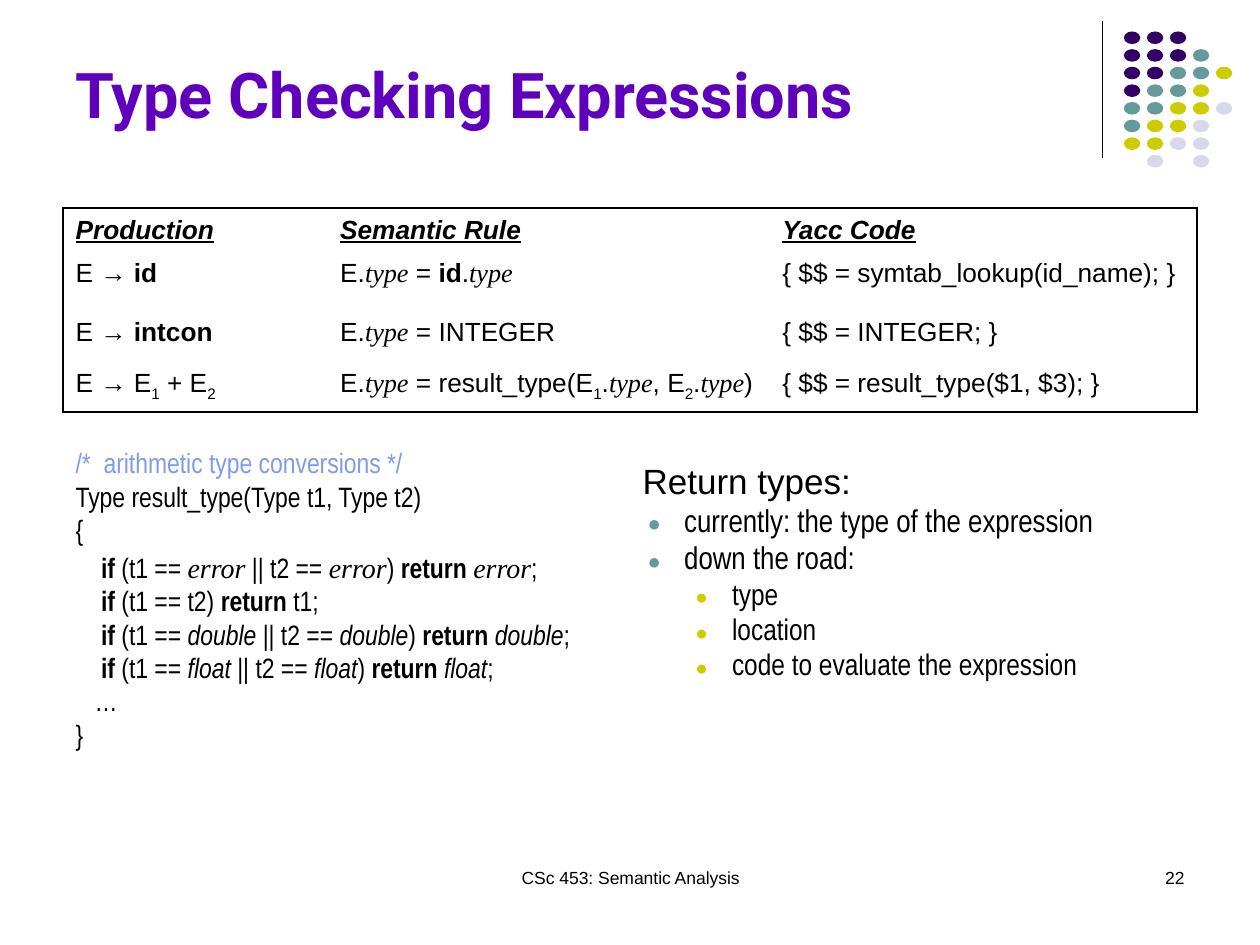
from collections import namedtuple
from dataclasses import dataclass

from lxml import etree
from pptx import Presentation
from pptx.dml.color import RGBColor
from pptx.enum.shapes import MSO_CONNECTOR, MSO_SHAPE
from pptx.enum.text import MSO_ANCHOR, PP_ALIGN
from pptx.oxml.ns import qn
from pptx.util import Inches, Pt

LEFT, CENTER, RIGHT = PP_ALIGN.LEFT, PP_ALIGN.CENTER, PP_ALIGN.RIGHT
TOP, MIDDLE, BOTTOM = MSO_ANCHOR.TOP, MSO_ANCHOR.MIDDLE, MSO_ANCHOR.BOTTOM
STRAIGHT, OVAL = MSO_CONNECTOR.STRAIGHT, MSO_SHAPE.OVAL

Box = namedtuple("Box", "left top width height")


@dataclass(frozen=True)
class Theme:
    ink: str = "000000"
    title: str = "5E00BC"
    comment: str = "7E9CE8"
    purple: str = "330066"
    teal: str = "669999"
    olive: str = "CCCC00"
    lilac: str = "D8D8EC"
    body_font: str = "Arial"
    narrow_font: str = "Arial Narrow"
    title_font: str = "Roboto"
    math_font: str = "Times New Roman"
    title_size: int = 36
    heading_size: int = 20
    point_size: int = 18
    subpoint_size: int = 17
    code_size: int = 16
    rule_size: int = 15
    footer_size: int = 10
    border: float = 1.08
    divider: float = 0.75


THEME = Theme()

STYLES = {
    "plain": {},
    "bold": {"bold": True},
    "italic": {"italic": True},
    "math": {"italic": True, "name": THEME.math_font},
    "head": {"bold": True, "italic": True, "underline": True},
    "comment": {"color": THEME.comment},
    "sub": {"baseline": "-25000"},
}

E_TYPE = [("plain", "E."), ("math", "type")]
RULES = [
    [[("head", "Production")], [("head", "Semantic Rule")], [("head", "Yacc Code")]],
    [[("plain", "E → "), ("bold", "id")],
     E_TYPE + [("plain", " = "), ("bold", "id"), ("plain", "."), ("math", "type")],
     [("plain", "{ $$ = symtab_lookup(id_name); }")]],
    [[("plain", "E → "), ("bold", "intcon")],
     E_TYPE + [("plain", " = INTEGER")],
     [("plain", "{ $$ = INTEGER; }")]],
    [[("plain", "E → E"), ("sub", "1"), ("plain", " + E"), ("sub", "2")],
     E_TYPE + [("plain", " = result_type(E"), ("sub", "1"), ("plain", "."),
               ("math", "type"), ("plain", ", E"), ("sub", "2"), ("plain", "."),
               ("math", "type"), ("plain", ")")],
     [("plain", "{ $$ = result_type($1, $3); }")]],
]


def conversion(kind, style):
    return [("bold", "    if"), ("plain", " (t1 == "), (style, kind),
            ("plain", " || t2 == "), (style, kind), ("plain", ") "),
            ("bold", "return "), (style, kind), ("plain", ";")]


CODE = [
    [("comment", "/*  arithmetic type conversions */")],
    [("plain", "Type result_type(Type t1, Type t2)")],
    [("plain", "{")],
    conversion("error", "math"),
    [("bold", "    if"), ("plain", " (t1 == t2) "), ("bold", "return"), ("plain", " t1;")],
    conversion("double", "italic"),
    conversion("float", "italic"),
    [("plain", "   …")],
    [("plain", "}")],
]

POINTS = [
    (1, "currently: the type of the expression"),
    (1, "down the road:"),
    (2, "type"),
    (2, "location"),
    (2, "code to evaluate the expression"),
]
POINT_LEVELS = {
    1: {"indent": 0.43, "color": THEME.teal, "size": THEME.point_size, "before": 4.5},
    2: {"indent": 0.81, "color": THEME.olive, "size": THEME.subpoint_size, "before": 4.2},
}

DOT_ROWS = ["PPP", "PPPT", "PPTTO", "PTTO", "TTOOL", "TOOL", "OOLL", " L L"]
DOT_COLORS = {"P": THEME.purple, "T": THEME.teal, "O": THEME.olive, "L": THEME.lilac}


def apply(target, values):
    for name, value in values.items():
        setattr(target, name, value)


def emu(box):
    return [Inches(length) for length in box]


def write(paragraph, pieces, size, font, color=THEME.ink):
    for style, text in pieces:
        run = paragraph.add_run()
        run.text = text
        look = {"name": font, "size": Pt(size), "bold": False, "italic": False,
                **STYLES[style]}
        run.font.color.rgb = RGBColor.from_string(look.pop("color", color))
        if "baseline" in look:
            run._r.get_or_add_rPr().set("baseline", look.pop("baseline"))
        apply(run.font, look)


def add_line(slide, box, text, size, font, color=THEME.ink, align=LEFT,
             anchor=TOP, bottom=0.05, style="plain"):
    frame = slide.shapes.add_textbox(*emu(box)).text_frame
    apply(frame, {"word_wrap": True, "vertical_anchor": anchor,
                  "margin_bottom": Inches(bottom)})
    frame.paragraphs[0].alignment = align
    write(frame.paragraphs[0], [(style, text)], size, font, color)


def add_bullet(paragraph, indent, color):
    properties = paragraph._p.get_or_add_pPr()
    properties.set("marL", str(Inches(indent)))
    properties.set("indent", str(-Inches(0.29)))
    bullet_color = etree.SubElement(properties, qn("a:buClr"))
    etree.SubElement(bullet_color, qn("a:srgbClr"), val=color)
    etree.SubElement(properties, qn("a:buSzPct"), val="70000")
    etree.SubElement(properties, qn("a:buFont"), typeface=THEME.body_font)
    etree.SubElement(properties, qn("a:buChar"), char="●")


def set_borders(cell, sides):
    properties = cell._tc.get_or_add_tcPr()
    for side in "LRTB":
        edge = etree.SubElement(properties, qn(f"a:ln{side}"), w=str(Pt(THEME.border)))
        if side in sides:
            fill = etree.SubElement(edge, qn("a:solidFill"))
            etree.SubElement(fill, qn("a:srgbClr"), val=THEME.ink)
        else:
            etree.SubElement(edge, qn("a:noFill"))


def add_grid(slide, box, columns, rows, frame_sides=""):
    table = slide.shapes.add_table(len(rows), len(columns), *emu(box)).table
    apply(table, {"first_row": False, "horz_banding": False})
    for column, width in zip(table.columns, columns):
        column.width = Inches(width)
    for row, height in zip(table.rows, rows):
        row.height = Inches(height)
    for r in range(len(rows)):
        for c in range(len(columns)):
            edges = {"L": c == 0, "R": c == len(columns) - 1,
                     "T": r == 0, "B": r == len(rows) - 1}
            cell = table.cell(r, c)
            set_borders(cell, [side for side in frame_sides if edges[side]])
            cell.fill.background()
    return table


def add_dots(slide, box):
    divider = slide.shapes.add_connector(
        STRAIGHT, *emu((box.left, box.top, box.left, box.top + box.height)))
    divider.line.color.rgb = RGBColor.from_string(THEME.ink)
    divider.line.width = Pt(THEME.divider)
    etree.SubElement(divider._element.spPr, qn("a:effectLst"))
    for r, row in enumerate(DOT_ROWS):
        for c, key in enumerate(row):
            if key == " ":
                continue
            place = Box(box.left + 0.17 + c * 0.73 / 4, box.top + 0.08 + r * 0.14, 0.13, 0.1)
            dot = slide.shapes.add_shape(OVAL, *emu(place))
            dot.shadow.inherit = False
            dot.fill.solid()
            dot.fill.fore_color.rgb = RGBColor.from_string(DOT_COLORS[key])
            dot.line.fill.background()


def add_rules(slide, box):
    add_grid(slide, box._replace(height=1.7), [box.width], [1.7], "T")
    table = add_grid(slide, box, [2.1, 3.51, 3.39], [0.35, 0.47, 0.41, 0.39], "LRTB")
    for r, row in enumerate(RULES):
        for c, pieces in enumerate(row):
            cell = table.cell(r, c)
            cell.vertical_anchor = TOP if r else MIDDLE
            write(cell.text_frame.paragraphs[0], pieces, THEME.rule_size, THEME.body_font)


def fill_code(cell):
    frame = cell.text_frame
    for i, pieces in enumerate(CODE):
        paragraph = frame.add_paragraph() if i else frame.paragraphs[0]
        paragraph.space_before = Pt(4 if i else 0)
        write(paragraph, pieces, THEME.code_size, THEME.narrow_font)


def fill_return_types(cell):
    cell.margin_top = Inches(0.12)
    heading = cell.text_frame.paragraphs[0]
    heading._p.get_or_add_pPr().set("marL", str(Inches(0.1)))
    write(heading, [("plain", "Return types:")], THEME.heading_size, THEME.body_font)
    for level, text in POINTS:
        look = POINT_LEVELS[level]
        paragraph = cell.text_frame.add_paragraph()
        add_bullet(paragraph, look["indent"], look["color"])
        apply(paragraph, {"level": level, "space_before": Pt(look["before"])})
        write(paragraph, [("plain", text)], look["size"], THEME.narrow_font)


def add_details(slide, box):
    table = add_grid(slide, box, [4.4, 4.5], [box.height])
    fill_code(table.cell(0, 0))
    fill_return_types(table.cell(0, 1))


def add_footer(slide, box):
    course = Box(box.left + 2.92, box.top, 3.17, box.height)
    number = Box(box.left + box.width - 2.33, box.top, 2.33, box.height)
    for place, text, align in ((course, "CSc 453: Semantic Analysis", CENTER),
                               (number, "22", RIGHT)):
        add_line(slide, place, text, THEME.footer_size, THEME.body_font, align=align)


def main():
    deck = Presentation()
    apply(deck, {"slide_width": Inches(10), "slide_height": Inches(7.5)})
    slide = deck.slides.add_slide(deck.slide_layouts[6])
    add_dots(slide, Box(8.75, 0.17, 1.03, 1.08))
    add_line(slide, Box(0.5, 0.13, 8.25, 0.95), "Type Checking Expressions",
             THEME.title_size, THEME.title_font, THEME.title,
             anchor=BOTTOM, bottom=0.04, style="bold")
    add_rules(slide, Box(0.5, 1.65, 9, 1.62))
    add_details(slide, Box(0.5, 3.55, 8.9, 3.1))
    add_footer(slide, Box(0.5, 6.83, 9, 0.5))
    deck.save("out.pptx")


if __name__ == "__main__":
    main()
